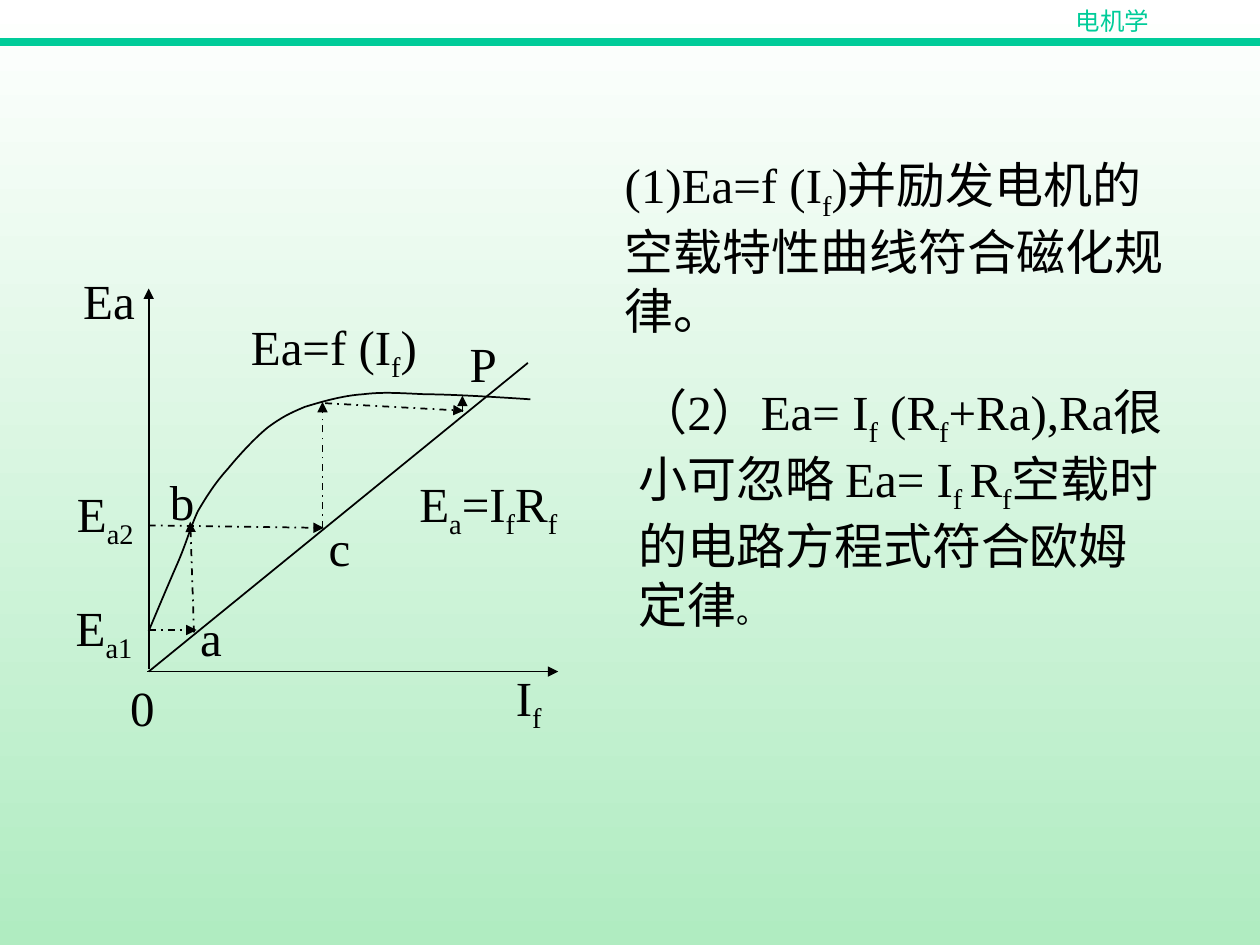
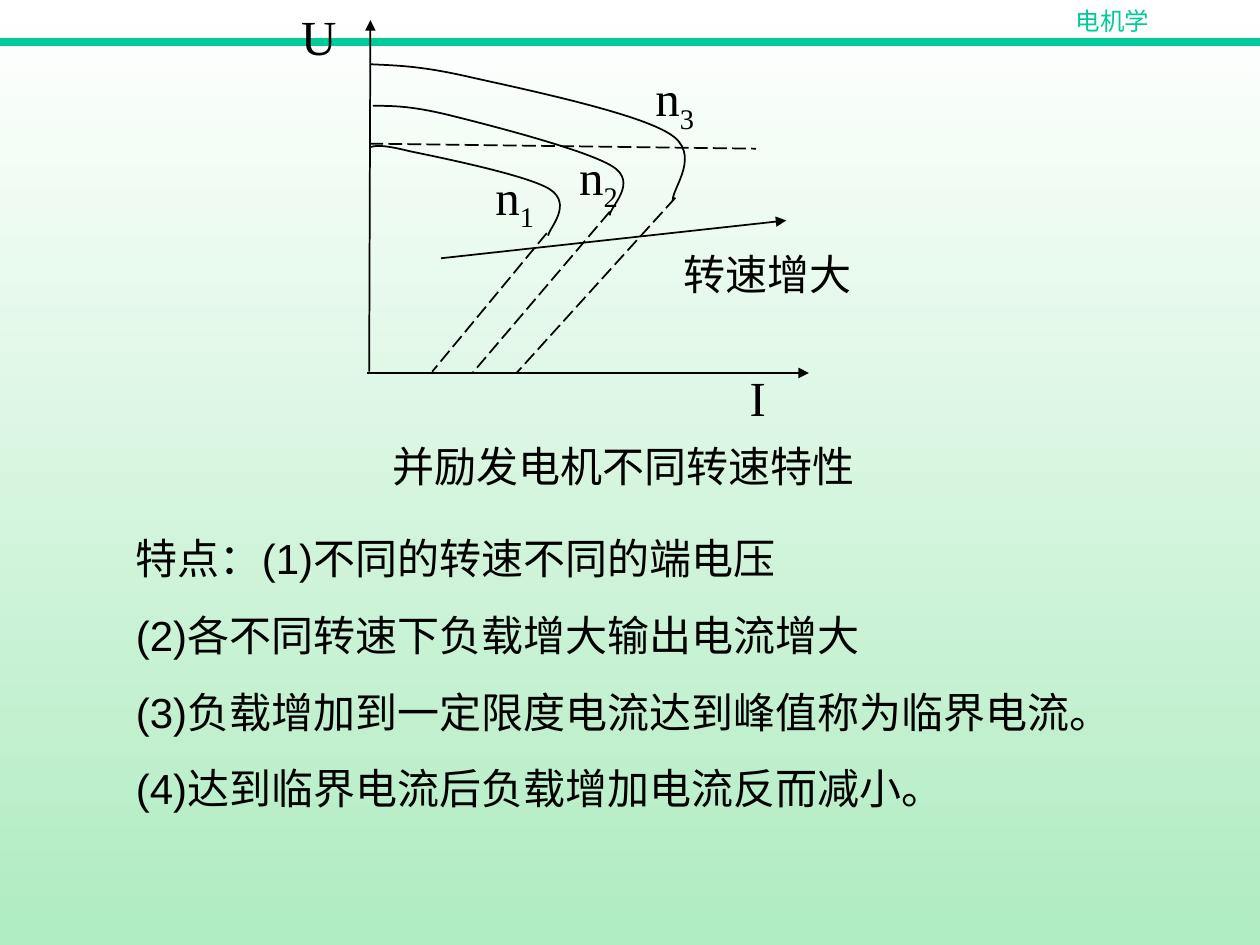
from dataclasses import dataclass

from lxml.etree import SubElement
from pptx import Presentation
from pptx.dml.color import RGBColor
from pptx.enum.dml import MSO_LINE
from pptx.enum.shapes import MSO_CONNECTOR
from pptx.enum.text import MSO_AUTO_SIZE, PP_ALIGN
from pptx.oxml.ns import qn
from pptx.slide import Slide
from pptx.util import Inches, Pt

Point = tuple[float, float]


@dataclass(frozen=True)
class Theme:
    ink: RGBColor = RGBColor(0, 0, 0)
    accent: RGBColor = RGBColor(0x00, 0xCC, 0x99)
    top: RGBColor = RGBColor(0xFF, 0xFF, 0xFF)
    bottom: RGBColor = RGBColor(0xB0, 0xEC, 0xC1)
    serif: str = "Times New Roman"
    sans: str = "Arial"
    symbol: int = 28
    body: int = 24
    stop: int = 18
    header: int = 14
    hairline: float = 1
    band: float = 4.5
    subscript: int = -25000
    gap: float = 0.625  # space before, as a share of the type size


THEME = Theme()


@dataclass(frozen=True)
class Label:
    """Text in which every second part between bars is a subscript."""
    text: str
    left: float
    top: float
    width: float
    height: float
    size: int = THEME.symbol
    font: str = THEME.serif
    color: RGBColor = THEME.ink
    align: PP_ALIGN = PP_ALIGN.CENTER
    gap: float = THEME.gap
    wrap: bool = True


@dataclass(frozen=True)
class Stroke:
    start: Point
    end: Point
    arrow: bool = False
    dash: MSO_LINE | None = None
    color: RGBColor = THEME.ink
    width: float = THEME.hairline


@dataclass(frozen=True)
class Curve:
    """A start point and cubic segments of two controls and an end."""
    start: Point
    segments: list[tuple[Point, Point, Point]]


def add_span(para, text: str, label: Label, size: int, lowered: bool = False) -> None:
    span = para.add_run()
    span.text = text
    span.font.size = Pt(size)
    span.font.name = label.font
    span.font.color.rgb = label.color
    if lowered:
        span.font._element.set("baseline", str(THEME.subscript))


def add_label(page: Slide, label: Label):
    box = page.shapes.add_textbox(Inches(label.left), Inches(label.top),
                                  Inches(label.width), Inches(label.height))
    frame = box.text_frame
    frame.word_wrap = label.wrap
    frame.auto_size = MSO_AUTO_SIZE.SHAPE_TO_FIT_TEXT
    for number, line in enumerate(label.text.split("\n")):
        para = frame.add_paragraph() if number else frame.paragraphs[0]
        para.alignment = label.align
        para.space_before = Pt(label.size * label.gap)
        for index, part in enumerate(line.split("|")):
            if part:
                add_span(para, part, label, label.size, index % 2 == 1)
    return box


def add_stroke(page: Slide, stroke: Stroke) -> None:
    ends = [Inches(value) for value in (*stroke.start, *stroke.end)]
    connector = page.shapes.add_connector(MSO_CONNECTOR.STRAIGHT, *ends)
    line = connector.line
    line.color.rgb = stroke.color
    line.width = Pt(stroke.width)
    if stroke.dash is not None:
        line.dash_style = stroke.dash
    properties = connector._element.spPr
    if stroke.arrow:
        SubElement(properties.find(qn("a:ln")), qn("a:tailEnd"), type="triangle")
    SubElement(properties, qn("a:effectLst"))


def bend(shape) -> None:
    """Turn each three straight segments of the outline into one cubic segment."""
    outline = next(shape._element.iter(qn("a:path")))
    straights = outline.findall(qn("a:lnTo"))
    for first in range(0, len(straights), 3):
        cubic = SubElement(outline, qn("a:cubicBezTo"))
        for straight in straights[first:first + 3]:
            cubic.append(straight[0])
            outline.remove(straight)


def add_curve(page: Slide, curve: Curve) -> None:
    builder = page.shapes.build_freeform(Inches(curve.start[0]), Inches(curve.start[1]))
    points = [(Inches(x), Inches(y)) for segment in curve.segments for x, y in segment]
    builder.add_line_segments(points, close=False)
    shape = builder.convert_to_shape()
    bend(shape)
    shape.fill.background()
    shape.line.color.rgb = THEME.ink
    shape.line.width = Pt(THEME.hairline)
    shape.shadow.inherit = False


def add_page(deck) -> Slide:
    """Blank page with the gradient, the band and the course name."""
    page = deck.slides.add_slide(deck.slide_layouts[6])
    fill = page.background.fill
    fill.gradient()
    fill.gradient_angle = 270
    for stop, color, position in zip(fill.gradient_stops, (THEME.top, THEME.bottom), (0, 1)):
        stop.color.rgb = color
        stop.position = position
    add_stroke(page, Stroke((0, 0.33), (10, 0.33), color=THEME.accent, width=THEME.band))
    add_label(page, Label("电机学", 8.08, 0, 1.5, 0.34, THEME.header, THEME.sans, THEME.accent))
    return page


def draw(page: Slide, strokes: list[Stroke], curves: list[Curve], labels: list[Label]) -> None:
    for stroke in strokes:
        add_stroke(page, stroke)
    for curve in curves:
        add_curve(page, curve)
    for label in labels:
        add_label(page, label)


def add_voltage_buildup(deck) -> None:
    page = add_page(deck)
    axes = [
        Stroke((1.18, 5.31), (1.18, 2.29), arrow=True),
        Stroke((1.17, 5.33), (4.43, 5.33), arrow=True),
    ]
    field_line = Stroke((1.18, 5.33), (4.19, 2.88))
    steps = [
        Stroke(start, end, True, MSO_LINE.DASH_DOT)
        for start, end in (
            ((1.18, 5), (1.56, 5)),
            ((1.54, 5.02), (1.51, 4.14)),
            ((1.18, 4.17), (2.57, 4.19)),
            ((2.56, 4.19), (2.56, 3.19)),
            ((2.58, 3.2), (3.68, 3.26)),
        )
    ]
    last_step = Stroke((3.67, 3.27), (3.67, 3.14), arrow=True)
    no_load = Curve((1.18, 5.01), [
        ((1.26, 4.82), (1.34, 4.63), (1.41, 4.47)),
        ((1.48, 4.31), (1.51, 4.19), (1.57, 4.06)),
        ((1.64, 3.94), (1.71, 3.83), (1.81, 3.72)),
        ((1.9, 3.61), (2.03, 3.47), (2.13, 3.39)),
        ((2.24, 3.31), (2.3, 3.28), (2.42, 3.23)),
        ((2.55, 3.19), (2.72, 3.14), (2.88, 3.13)),
        ((3.04, 3.11), (3.16, 3.12), (3.38, 3.13)),
        ((3.6, 3.13), (4.07, 3.16), (4.21, 3.17)),
    ])
    labels = [
        Label("E|a|=I|f|R|f", 2.98, 3.71, 1.79, 0.63),
        Label("0", 0.74, 5.33, 0.78, 0.57),
        Label("I|f", 3.8, 5.25, 0.79, 0.63),
        Label("a", 1.28, 4.77, 0.79, 0.57),
        Label("b", 1.17, 3.69, 0.55, 0.57),
        Label("c", 2.4, 4.06, 0.59, 0.57),
        Label("P", 3.53, 2.6, 0.61, 0.57),
        Label("Ea", 0.56, 2.1, 0.61, 0.57, gap=0, wrap=False),
        Label("Ea=f (I|f|)", 1.89, 2.46, 1.52, 0.63, gap=0, wrap=False),
        Label("E|a2", 0.51, 3.79, 0.65, 0.63, gap=0, wrap=False),
        Label("E|a1", 0.5, 4.69, 0.65, 0.63, gap=0, wrap=False),
        Label("(1)Ea=f (I|f|)并励发电机的空载特性曲线符合磁化规律。",
              4.86, 1.18, 4.52, 1.57, align=PP_ALIGN.LEFT, gap=0),
    ]
    draw(page, [*axes, field_line, *steps, last_step], [no_load], labels)

    circuit = Label("（2）Ea= I|f| (R|f|+Ra),Ra很小可忽略 Ea= I|f |R|f|空载时的电路方程式符合欧姆定律",
                    4.97, 2.98, 4.4, 2.1, align=PP_ALIGN.LEFT, gap=0.4)
    box = add_label(page, circuit)
    add_span(box.text_frame.paragraphs[0], "。", circuit, THEME.stop)


def add_speed_characteristics(deck) -> None:
    page = add_page(deck)
    arrows = [
        Stroke(start, end, arrow=True)
        for start, end in (
            ((2.93, 2.95), (2.94, 0.16)),
            ((2.91, 2.96), (6.42, 2.96)),
            ((3.5, 2.05), (6.24, 1.75)),
        )
    ]
    dashes = [
        Stroke(start, end, dash=MSO_LINE.LONG_DASH)
        for start, end in (
            ((5.36, 1.57), (4.1, 2.96)),
            ((4.84, 1.68), (3.75, 2.96)),
            ((4.34, 1.85), (3.43, 2.95)),
            ((2.93, 1.14), (6, 1.18)),
        )
    ]
    curves = [
        Curve((2.94, 0.51), [
            ((3.13, 0.52), (3.33, 0.52), (3.72, 0.61)),
            ((4.12, 0.7), (5.04, 0.89), (5.31, 1.06)),
            ((5.58, 1.22), (5.33, 1.5), (5.34, 1.59)),
        ]),
        Curve((2.96, 0.84), [
            ((3.12, 0.84), (3.27, 0.84), (3.59, 0.92)),
            ((3.91, 1), (4.65, 1.19), (4.86, 1.32)),
            ((5.07, 1.45), (4.84, 1.64), (4.84, 1.71)),
        ]),
        Curve((2.93, 1.17), [
            ((2.97, 1.16), (3.01, 1.14), (3.25, 1.2)),
            ((3.49, 1.25), (4.18, 1.39), (4.36, 1.5)),
            ((4.55, 1.62), (4.36, 1.81), (4.35, 1.87)),
        ]),
    ]
    features = "\n".join((
        "特点：(1)不同的转速不同的端电压",
        "(2)各不同转速下负载增大输出电流增大",
        "(3)负载增加到一定限度电流达到峰值称为临界电流。",
        "(4)达到临界电流后负载增加电流反而减小。",
    ))
    labels = [
        Label("U", 2.28, 0, 0.5, 0.57),
        Label("I", 5.66, 2.87, 0.71, 0.57),
        Label("n|1", 3.75, 1.27, 0.67, 0.63),
        Label("n|2", 4.39, 1.11, 0.72, 0.63),
        Label("n|3", 5.05, 0.49, 0.61, 0.63),
        Label("转速增大", 5.23, 1.92, 1.73, 0.5, THEME.body, THEME.sans),
        Label("并励发电机不同转速特性", 2.93, 3.45, 4.04, 0.5, THEME.body, THEME.sans),
        Label(features, 0.98, 4.18, 8.21, 2.33, THEME.body, THEME.sans, align=PP_ALIGN.LEFT),
    ]
    draw(page, [*arrows, *dashes], curves, labels)


def main() -> None:
    deck = Presentation()
    deck.slide_width, deck.slide_height = Inches(10), Inches(7.5)
    add_voltage_buildup(deck)
    add_speed_characteristics(deck)
    deck.save("out.pptx")


if __name__ == "__main__":
    main()
